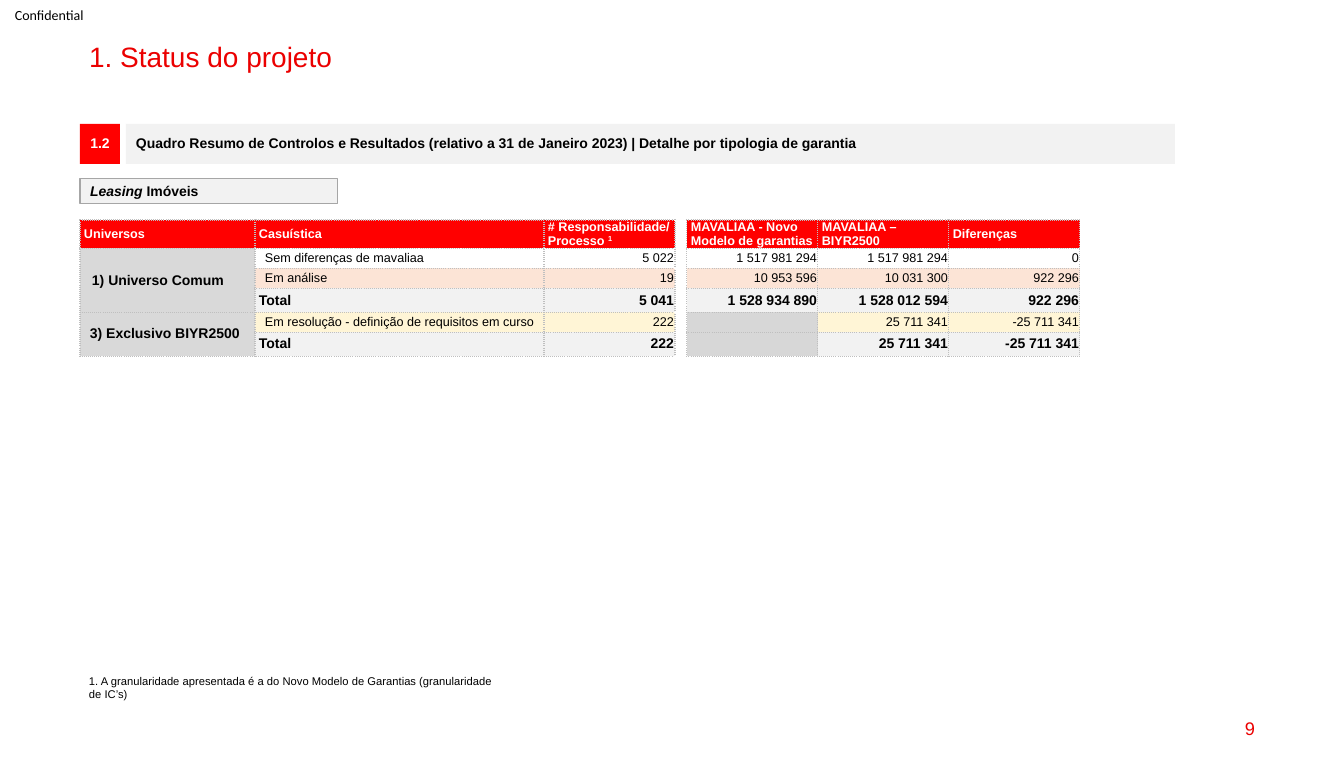
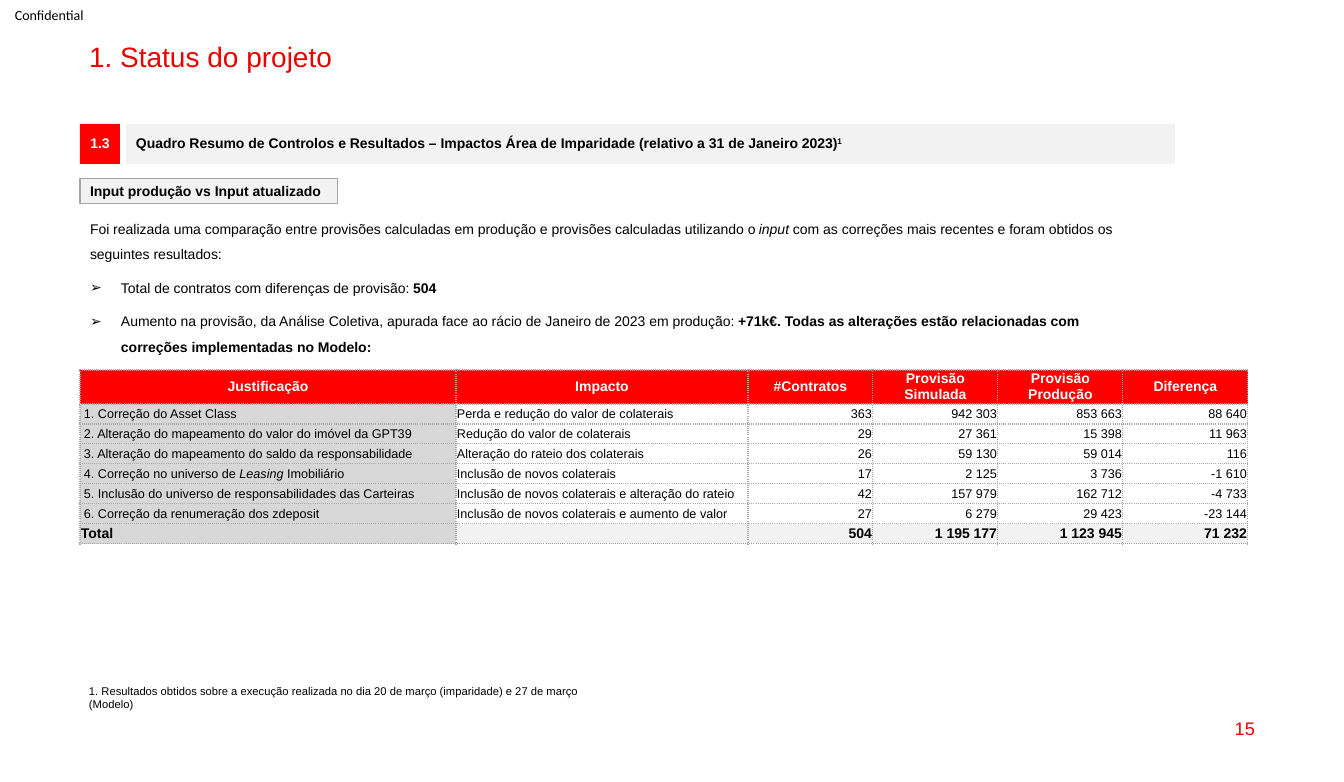
from lxml.etree import SubElement
from pptx import Presentation
from pptx.dml.color import RGBColor
from pptx.enum.shapes import MSO_SHAPE
from pptx.enum.text import MSO_ANCHOR as ANCHOR, MSO_AUTO_SIZE as AUTO, PP_ALIGN as ALIGN
from pptx.oxml.ns import qn
from pptx.util import Emu, Pt

# Colours
BLACK = RGBColor(0x00, 0x00, 0x00)
WHITE = RGBColor(0xFF, 0xFF, 0xFF)
TITLE_RED = RGBColor(0xEB, 0x00, 0x00)
RED = RGBColor(0xFF, 0x00, 0x00)
PALE = RGBColor(0xF2, 0xF2, 0xF2)
GROUP = RGBColor(0xD9, 0xD9, 0xD9)
GREY = RGBColor(0xD7, 0xD7, 0xD7)
EDGE = RGBColor(0xA6, 0xA6, 0xA6)
LIGHT_EDGE = RGBColor(0xBF, 0xBF, 0xBF)
PEACH = RGBColor(0xFC, 0xE4, 0xD6)
CREAM = RGBColor(0xFF, 0xF5, 0xD6)

LEFT, CENTER, RIGHT = ALIGN.LEFT, ALIGN.CENTER, ALIGN.RIGHT
TITLE_ONLY, TITLE_BODY = 5, 1


def px(n):
    return Emu(round(n * 914400 / 100.8))


class Deck:
    """Holds the shared style and the slide being built."""

    def __init__(self):
        self.prs = Presentation()
        self.prs.slide_width, self.prs.slide_height = px(1344), px(782)
        self.s = None

    # Text: a paragraph is a string or a list of (text, flags), flags from b, i, ^
    def fill_text(self, tf, paras, size, color=BLACK, bold=False, align=LEFT,
                  spacing=None, font="Arial"):
        for n, parts in enumerate(paras):
            p = tf.add_paragraph() if n else tf.paragraphs[0]
            p.alignment = align
            if spacing:
                p.line_spacing = spacing
            for text, flags in [(parts, "")] if isinstance(parts, str) else parts:
                r = p.add_run()
                r.text = text
                f = r.font
                f.name, f.size, f.color.rgb = font, Pt(size), color
                f.bold, f.italic = bold or "b" in flags, "i" in flags
                if "^" in flags:
                    r._r.get_or_add_rPr().set("baseline", "30000")

    def frame(self, sp, anchor=ANCHOR.TOP, inset=(10, 5)):
        tf = sp.text_frame
        tf.word_wrap, tf.auto_size, tf.vertical_anchor = True, AUTO.NONE, anchor
        tf.margin_left = tf.margin_right = px(inset[0])
        tf.margin_top = tf.margin_bottom = px(inset[1])
        return tf

    def place(self, sp, x, y, w, h):
        sp.left, sp.top, sp.width, sp.height = px(x), px(y), px(w), px(h)

    def label(self, x, y, w, h, text, size, color=BLACK, align=LEFT,
              anchor=ANCHOR.TOP, inset=(10, 5), font="Arial"):
        sp = self.s.shapes.add_textbox(px(x), px(y), px(w), px(h))
        self.fill_text(self.frame(sp, anchor, inset), [text], size, color,
                       align=align, font=font)

    def box(self, x, y, w, h, text, fill=PALE, color=BLACK, align=LEFT, line=None):
        sp = self.s.shapes.add_shape(MSO_SHAPE.RECTANGLE, px(x), px(y), px(w), px(h))
        sp.shadow.inherit = False
        sp.fill.solid()
        sp.fill.fore_color.rgb = fill
        if line is None:
            sp.line.fill.background()
        else:
            sp.line.color.rgb, sp.line.width = line, Pt(0.75)
        self.fill_text(self.frame(sp, ANCHOR.MIDDLE), [text], 10, color, True, align, 0.9)

    # Everything the slides have in common
    def slide(self, layout, page, number, heading, tag):
        self.s = self.prs.slides.add_slide(self.prs.slide_layouts[layout])
        self.label(0, 0, 100, 29, "Confidential", 10, anchor=ANCHOR.MIDDLE,
                   inset=(15, 0), font="Calibri")
        title = self.s.shapes.title
        self.place(title, 79, 38, 1186, 34)
        self.fill_text(self.frame(title), ["1. Status do projeto"], 20, TITLE_RED,
                       spacing=0.9)
        self.label(963, 708, 302, 41, page, 13, TITLE_RED, RIGHT, ANCHOR.MIDDLE)
        self.box(80, 124, 40, 40, number, RED, WHITE, CENTER)
        self.box(126, 124, 1049, 40, heading)
        self.box(80, 179, 258, 25, tag, line=EDGE)

    # Lead paragraph followed by arrow bullets
    def body(self, x, y, w, h, paras):
        sp = self.s.placeholders[1]
        self.place(sp, x, y, w, h)
        tf = self.frame(sp)
        self.fill_text(tf, paras, 10, spacing=1.5)
        for n, p in enumerate(tf.paragraphs):
            p.space_before = Pt(6 if n else 0)
            pPr = p._p.get_or_add_pPr()
            indent = px(31) if n else 0
            pPr.set("marL", str(indent))
            pPr.set("indent", str(-indent))
            if n:
                SubElement(pPr, qn("a:buFont"), typeface="Arial")
                SubElement(pPr, qn("a:buChar"), char="➢")
            else:
                SubElement(pPr, qn("a:buNone"))

    def table(self, x, y, cols, rows):
        tb = self.s.shapes.add_table(len(rows), len(cols), px(x), px(y),
                                     px(sum(cols)), px(sum(rows))).table
        tb.first_row = tb.horz_banding = False
        for col, w in zip(tb.columns, cols):
            col.width = px(w)
        for row, h in zip(tb.rows, rows):
            row.height = px(h)
        return tb

    def cell(self, cell, paras, fill, edge, size=9, color=BLACK, bold=False,
             align=LEFT, inset=(1, 1), sides="LRTB"):
        cell.margin_left, cell.margin_right = px(inset[0]), px(inset[1])
        cell.margin_top = cell.margin_bottom = 0
        cell.vertical_anchor = ANCHOR.MIDDLE
        tcPr = cell._tc.get_or_add_tcPr()
        for side in sides:
            ln = SubElement(tcPr, qn(f"a:ln{side}"), w=str(Pt(1)))
            SubElement(SubElement(ln, qn("a:solidFill")), qn("a:srgbClr"), val=str(edge))
            SubElement(ln, qn("a:prstDash"), val="sysDot")
        if fill is None:
            cell.fill.background()
        else:
            cell.fill.solid()
            cell.fill.fore_color.rgb = fill
        if paras:
            self.fill_text(cell.text_frame, paras, size, color, bold, align)
        else:
            SubElement(cell.text_frame.paragraphs[0]._p, qn("a:endParaRPr"), sz="800")


def guarantee_slide(d):
    d.slide(TITLE_ONLY, "9", "1.2",
            "Quadro Resumo de Controlos e Resultados (relativo a 31 de Janeiro 2023)"
            " | Detalhe por tipologia de garantia",
            [("Leasing", "i"), (" Imóveis", "")])

    header = [["Universos"], ["Casuística"],
              ["# Responsabilidade/", [("Processo ", ""), ("1", "^")]], [],
              ["MAVALIAA - Novo Modelo de garantias"], ["MAVALIAA – BIYR2500"],
              ["Diferenças"]]
    # Fill, case, processes, new model, BIYR2500, difference
    rows = [
        (None, "Sem diferenças de mavaliaa", "5 022", "1 517 981 294", "1 517 981 294", "0"),
        (PEACH, "Em análise", "19", "10 953 596", "10 031 300", "922 296"),
        (PALE, "Total", "5 041", "1 528 934 890", "1 528 012 594", "922 296"),
        (CREAM, "Em resolução - definição de requisitos em curso", "222", "",
         "25 711 341", "-25 711 341"),
        (PALE, "Total", "222", "", "25 711 341", "-25 711 341"),
    ]
    groups = {1: ("1) Universo Comum", 3, 12), 4: ("3) Exclusivo BIYR2500", 2, 10)}
    gap = 3

    tb = d.table(80, 220, [175, 289, 131, 12, 131, 131, 131], [28, 20, 20, 24, 20, 24])
    for c, paras in enumerate(header):
        if c != gap:
            d.cell(tb.cell(0, c), paras, RED, LIGHT_EDGE, 9, WHITE, True, inset=(4, 4))
    for r in range(len(rows) + 1):
        d.cell(tb.cell(r, gap), [], None, LIGHT_EDGE, sides="LR")
    for r, (fill, case, *values) in enumerate(rows, 1):
        total = case == "Total"
        size = 10 if total else 9
        text, span, left = groups.get(r, ("", 1, 10))
        d.cell(tb.cell(r, 0), [text] if text else [], GROUP, LIGHT_EDGE, 10,
               bold=True, inset=(left, 4))
        if span > 1:
            tb.cell(r, 0).merge(tb.cell(r + span - 1, 0))
        d.cell(tb.cell(r, 1), [case], fill, LIGHT_EDGE, size, bold=total,
               inset=(4 if total else 10, 1))
        for c, value in zip((2, 4, 5, 6), values):
            d.cell(tb.cell(r, c), [value] if value else [], fill if value else GREY,
                   LIGHT_EDGE, size, bold=total, align=RIGHT)

    d.label(79, 669, 437, 35, "1. A granularidade apresentada é a do Novo Modelo de Garantias"
            " (granularidade de IC’s)", 8)


def impairment_slide(d):
    d.slide(TITLE_BODY, "15", "1.3",
            [("Quadro Resumo de Controlos e Resultados – Impactos Área de Imparidade"
              " (relativo a 31 de Janeiro 2023)", ""), ("1", "^")],
            "Input produção vs Input atualizado")
    d.body(80, 207, 1058, 151, [
        [("Foi realizada uma comparação entre provisões calculadas em produção e provisões"
          " calculadas utilizando o ", ""), ("input", "i"),
         (" com as correções mais recentes e foram obtidos os seguintes resultados:", "")],
        [("Total de contratos com diferenças de provisão: ", ""), ("504", "b")],
        [("Aumento na provisão, da Análise Coletiva, apurada face ao rácio de Janeiro de 2023"
          " em produção: ", ""),
         ("+71k€. Todas as alterações estão relacionadas com correções implementadas"
          " no Modelo:", "b")],
    ])

    header = ["Justificação", "Impacto", "#Contratos", "Provisão Simulada",
              "Provisão Produção", "Diferença"]
    rows = [
        ("1. Correção do Asset Class", "Perda e redução do valor de colaterais",
         "363", "942 303", "853 663", "88 640"),
        ("2. Alteração do mapeamento do valor do imóvel da GPT39",
         "Redução do valor de colaterais", "29", "27 361", "15 398", "11 963"),
        ("3. Alteração do mapeamento do saldo da responsabilidade",
         "Alteração do rateio dos colaterais", "26", "59 130", "59 014", "116"),
        ([("4. Correção no universo de ", ""), ("Leasing", "i"), (" Imobiliário", "")],
         "Inclusão de novos colaterais", "17", "2 125", "3 736", "-1 610"),
        ("5. Inclusão do universo de responsabilidades das Carteiras",
         "Inclusão de novos colaterais e alteração do rateio",
         "42", "157 979", "162 712", "-4 733"),
        ("6. Correção da renumeração dos zdeposit",
         "Inclusão de novos colaterais e aumento de valor",
         "27", "6 279", "29 423", "-23 144"),
        ("Total", "", "504", "1 195 177", "1 123 945", "71 232"),
    ]

    tb = d.table(80, 370, [376, 292] + [125] * 4, [34] + [20] * len(rows))
    for c, text in enumerate(header):
        d.cell(tb.cell(0, c), [text], RED, EDGE, 10, WHITE, True, CENTER)
    for r, row in enumerate(rows, 1):
        total = row[0] == "Total"
        for c, text in enumerate(row):
            fill = GREY if c == 0 else PALE if total else WHITE
            d.cell(tb.cell(r, c), [text] if text else [], fill, EDGE, 10 if total else 9,
                   bold=total, align=RIGHT if c > 1 else LEFT,
                   inset=(4 if c == 0 and not total else 1, 1))

    d.label(79, 679, 522, 35, "1. Resultados obtidos sobre a execução realizada no dia 20 de"
            " março (imparidade) e 27 de março (Modelo)", 8)


def main():
    d = Deck()
    guarantee_slide(d)
    impairment_slide(d)
    d.prs.save("out.pptx")


if __name__ == "__main__":
    main()
